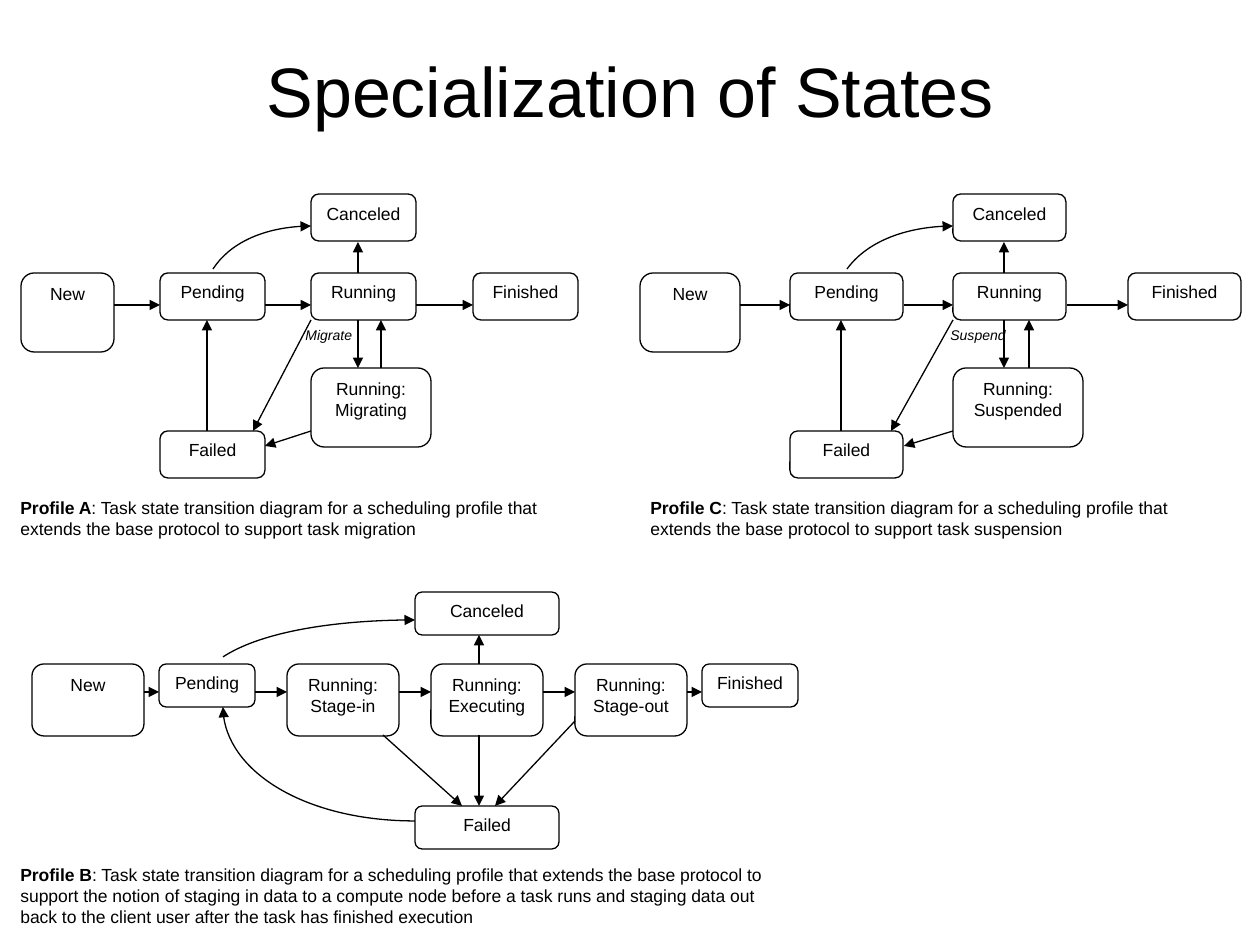
from lxml import etree
from pptx import Presentation, util as u
from pptx.dml.color import RGBColor
from pptx.enum import shapes, text
from pptx.oxml import ns

COLORS = {"ink": "000000", "paper": "FFFFFF"}
PX = u.Inches(1) / 126  # one px in EMU


def emu(*values):
    return [round(v * PX) for v in values]


class Diagram:
    """Style and current slide, with one method per kind of element."""

    font = {"name": "Arial", "size": u.Pt(10)}
    line_width = u.Pt(0.75)

    def __init__(self, slide):
        self.s = slide

    def color(self, name):
        return RGBColor.from_string(COLORS[name])

    def outline(self, sp):
        sp.line.color.rgb = self.color("ink")
        sp.line.width = self.line_width

    def arrowhead(self, sp):
        ln = sp._element.spPr.find(ns.qn("a:ln"))
        etree.SubElement(ln, ns.qn("a:tailEnd"), type="triangle")

    def fill_text(self, tf, paragraphs, align, anchor=text.MSO_ANCHOR.TOP):
        """Each paragraph is a list of (string, font overrides) runs."""
        frame = {"word_wrap": True, "vertical_anchor": anchor}
        for name, value in frame.items():
            setattr(tf, name, value)
        for i, runs in enumerate(paragraphs):
            p = tf.add_paragraph() if i else tf.paragraphs[0]
            p.alignment = align
            for string, extra in runs:
                r = p.add_run()
                r.text = string
                r.font.color.rgb = self.color("ink")
                for name, value in {**self.font, **extra}.items():
                    setattr(r.font, name, value)

    def label(self, box, runs, align=text.PP_ALIGN.LEFT,
              anchor=text.MSO_ANCHOR.TOP):
        sp = self.s.shapes.add_textbox(*emu(*box))
        self.fill_text(sp.text_frame, [runs], align, anchor)

    def caption(self, box, name, description):
        self.label(box, [(name, {"bold": True}), (": " + description, {})])

    def state(self, box, *lines):
        sp = self.s.shapes.add_shape(
            shapes.MSO_SHAPE.ROUNDED_RECTANGLE, *emu(*box))
        sp.shadow.inherit = False
        sp.fill.solid()
        sp.fill.fore_color.rgb = self.color("paper")
        self.outline(sp)
        self.fill_text(sp.text_frame, [[(t, {})] for t in lines],
                       text.PP_ALIGN.CENTER)

    def arrow(self, *ends):
        sp = self.s.shapes.add_connector(
            shapes.MSO_CONNECTOR.STRAIGHT, *emu(*ends))
        self.outline(sp)
        self.arrowhead(sp)
        etree.SubElement(sp._element.spPr, ns.qn("a:effectLst"))

    def curve(self, start, *points):
        """Cubic arrow: start, two control points, end."""
        fb = self.s.shapes.build_freeform(*emu(*start))
        fb.add_line_segments([emu(*pt) for pt in points], close=False)
        sp = fb.convert_to_shape()
        # Turn the three straight segments into one Bezier segment
        segments = list(sp._element.iter(ns.qn("a:lnTo")))
        bezier = etree.SubElement(segments[0].getparent(),
                                  ns.qn("a:cubicBezTo"))
        for segment in segments:
            bezier.append(segment[0])
            segment.getparent().remove(segment)
        sp.shadow.inherit = False
        sp.fill.background()
        self.outline(sp)
        self.arrowhead(sp)


def small_profile(d, left, stretch, substate, action, action_box):
    """Five base states plus one substate of Running."""
    def x(offset):
        return round(left + stretch * offset)

    def state(offset, top, width, height, *lines):
        d.state((x(offset), top, round(stretch * width), height), *lines)

    # States
    state(0, 273, 93, 79, "New")
    for offset, top, name in [(139, 273, "Pending"), (290, 273, "Running"),
                              (452, 273, "Finished"), (290, 194, "Canceled"),
                              (139, 431, "Failed")]:
        state(offset, top, 105, 47, name)
    state(290, 368, 120, 79, "Running:", substate)

    # Transitions
    for x1, y1, x2, y2 in [
            (93, 305, 139, 305), (244, 305, 290, 305), (395, 305, 452, 305),
            (337, 273, 337, 242), (337, 320, 337, 368), (360, 368, 360, 320),
            (186, 431, 186, 320), (290, 320, 232, 431), (290, 431, 244, 446)]:
        d.arrow(x(x1), y1, x(x2), y2)
    d.curve((x(192), 269), (x(209), 243), (x(247), 226), (x(290), 226))
    d.label(action_box, [(action, {"size": u.Pt(8), "italic": True})])


def staged_profile(d):
    """Running is split into three stages in a row."""
    # States
    d.state((32, 664, 112, 72), "New")
    for left, name in [(159, "Pending"), (702, "Finished")]:
        d.state((left, 664, 96, 43), name)
    for i, stage in enumerate(["Stage-in", "Executing", "Stage-out"]):
        d.state((287 + 144 * i, 664, 112, 72), "Running:", stage)
    for top, name in [(592, "Canceled"), (806, "Failed")]:
        d.state((415, top, 144, 43), name)

    # Transitions
    for x1, x2 in [(144, 159), (255, 287), (399, 431), (543, 575), (687, 702)]:
        d.arrow(x1, 692, x2, 692)
    for ends in [(479, 664, 479, 635), (383, 735, 462, 806),
                 (479, 735, 479, 806), (575, 721, 495, 806)]:
        d.arrow(*ends)
    d.curve((223, 657), (258, 634), (330, 620), (415, 620))
    d.curve((415, 821), (309, 821), (223, 770), (223, 707))


def main():
    prs = Presentation()
    prs.slide_width, prs.slide_height = u.Inches(10), u.Inches(7.5)
    d = Diagram(prs.slides.add_slide(prs.slide_layouts[6]))

    # Title
    d.label((63, 10, 1134, 158),
            [("Specialization of States", {"size": u.Pt(40)})],
            text.PP_ALIGN.CENTER, text.MSO_ANCHOR.MIDDLE)

    # Diagrams
    small_profile(d, 21, 1, "Migrating", "Migrate", (293, 320, 75, 47))
    staged_profile(d)
    small_profile(d, 640, 1.08, "Suspended", "Suspend", (938, 320, 91, 47))

    # Captions
    base = ("Task state transition diagram for a scheduling profile that "
            "extends the base protocol to support ")
    d.caption((8, 491, 601, 55), "Profile A", base + "task migration")
    d.caption((8, 858, 779, 76), "Profile B", base +
              "the notion of staging in data to a compute node before a task "
              "runs and staging data out back to the client user after the "
              "task has finished execution")
    d.caption((638, 491, 590, 55), "Profile C", base + "task suspension")

    prs.save("out.pptx")


if __name__ == "__main__":
    main()
